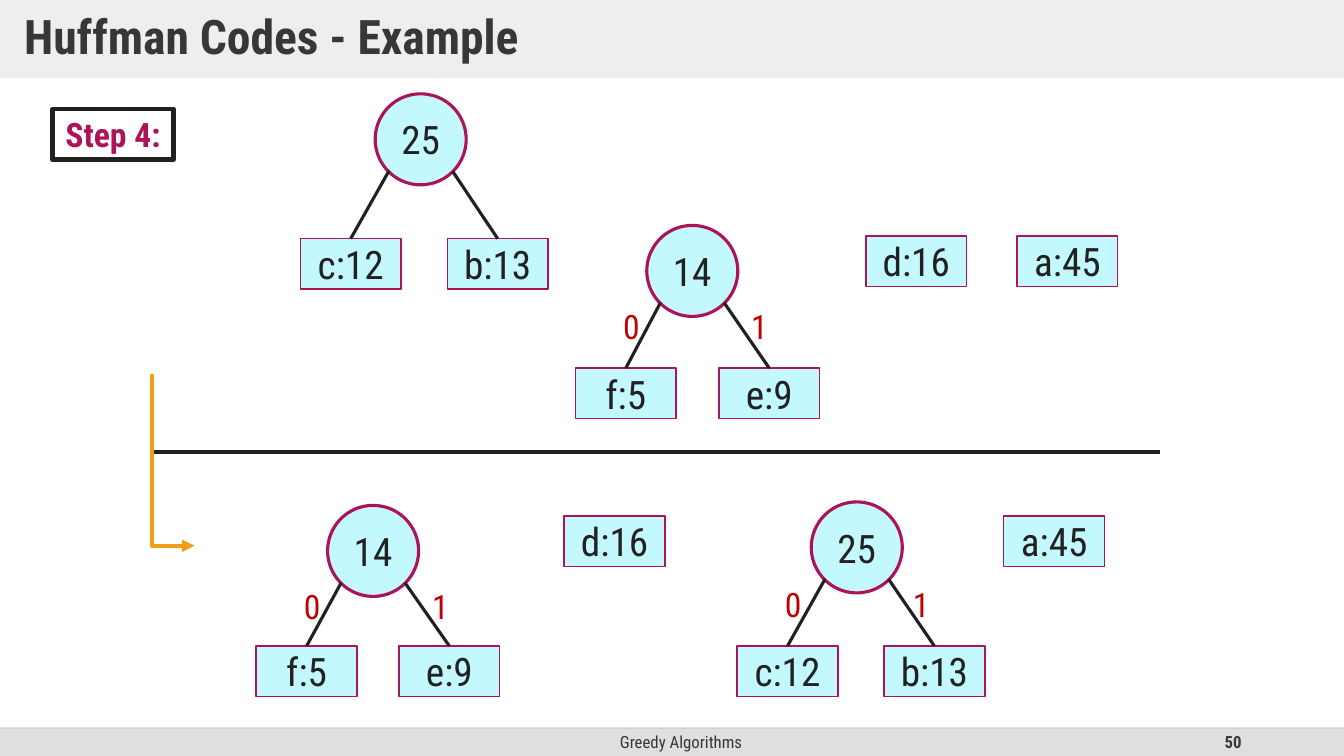
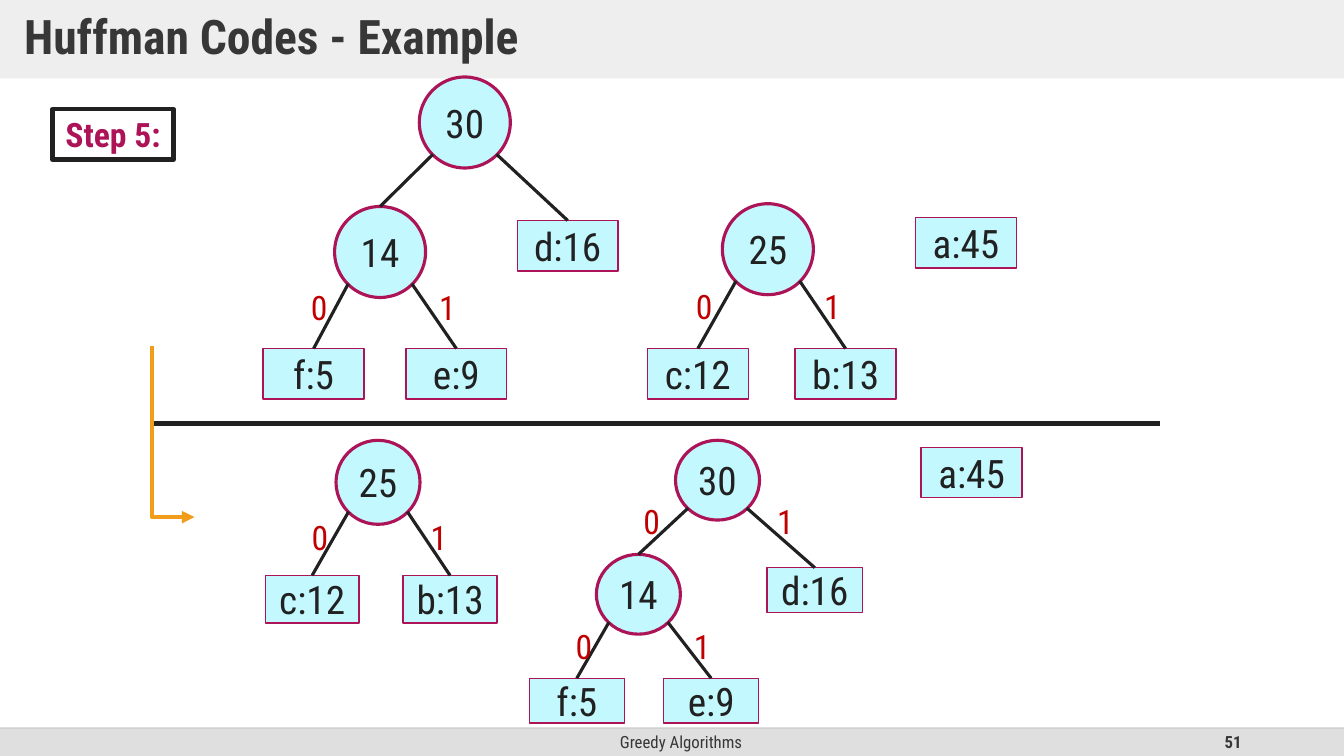
from lxml import etree
from pptx import Presentation
from pptx.dml.color import RGBColor
from pptx.enum import shapes, text
from pptx.oxml.ns import qn
from pptx.util import Pt

FONT = "Roboto Condensed"
HUE = {"band": "DFDFDF", "head": "373737", "rule": "BFBFBF", "ink": "212121",
       "plum": "AD1457", "cyan": "C3F8FF", "red": "C00000", "gold": "F19D19"}
HUE = {name: RGBColor.from_string(code) for name, code in HUE.items()}
LEFT, MID, RIGHT = text.PP_ALIGN.LEFT, text.PP_ALIGN.CENTER, text.PP_ALIGN.RIGHT
RECT, BALL = shapes.MSO_SHAPE.RECTANGLE, shapes.MSO_SHAPE.OVAL
LINE, BENT = shapes.MSO_CONNECTOR.STRAIGHT, shapes.MSO_CONNECTOR.ELBOW

KIDS = {"14": ("f:5", "e:9"), "25": ("c:12", "b:13"), "30": ("14", "d:16")}
FULL = (72, 36, 65, 65)
LOW = (67, 34, 60, 60)
FLAT = (68, 32, 60, 57)
BIT14 = {"14": (-24, 67.5, 54)}
BIT25 = {"25": (-26, 65.5, 55)}

PAGES = [
    (50, "Step 4:", 323, [
        (FULL, {}, {"25": (268, 67), "c:12": (214.5, 170.5), "b:13": (319.5, 170.5)}),
        (FULL, BIT14, {"14": (462, 161), "f:5": (411, 263), "e:9": (513.5, 263)}),
        (FULL, {}, {"d:16": (618.5, 168.5), "a:45": (726.5, 168.5)}),
        (FULL, BIT14, {"14": (234, 361), "f:5": (183, 461.5), "e:9": (285, 461.5)}),
        (FULL, {}, {"d:16": (403, 368.5), "a:45": (717, 368.5)}),
        (FULL, BIT25, {"25": (579.5, 358.5), "c:12": (526.5, 461.5), "b:13": (631.5, 461.5)}),
    ]),
    (51, "Step 5:", 302.5, [
        (FULL, BIT14, {"30": (299.5, 55), "14": (239, 147.5), "d:16": (369.5, 157.5),
                       "f:5": (188, 249), "e:9": (290, 249)}),
        (FULL, BIT25, {"25": (516, 145.5), "c:12": (462.5, 249), "b:13": (568, 249)}),
        (FULL, {}, {"a:45": (654, 155.5)}),
        (FULL, {}, {"a:45": (658, 319.5)}),
        (LOW, {"25": (-24.5, 60.5, 51)},
         {"25": (240, 314.5), "c:12": (189.5, 411), "b:13": (288, 411)}),
        (FLAT, {"14": (-22, 62.5, 47.5), "30": (-30, 65.5, 39.5)},
         {"30": (482.5, 314.5), "14": (426, 396), "d:16": (548, 405.5),
          "f:5": (378, 484.5), "e:9": (474, 484.5)}),
    ]),
]


def write(shape, words, size, hue, bold=False, align=MID):
    frame = shape.text_frame
    frame.word_wrap = True
    frame.vertical_anchor = text.MSO_ANCHOR.MIDDLE
    para = frame.paragraphs[0]
    para.alignment = align
    run = para.add_run()
    run.text = words
    run.font.name, run.font.size, run.font.bold = FONT, Pt(size), bold
    run.font.color.rgb = HUE[hue]
    return frame


def wire(kind, x1, y1, x2, y2, hue, width):
    link = slide.shapes.add_connector(kind, Pt(x1), Pt(y1), Pt(x2), Pt(y2))
    link.line.color.rgb = HUE[hue]
    link.line.width = Pt(width)
    etree.SubElement(link.element.spPr, qn("a:effectLst"))
    return link


prs = Presentation()
prs.slide_width, prs.slide_height = Pt(960), Pt(540)

for number, step, level, trees in PAGES:
    slide = prs.slides.add_slide(prs.slide_layouts[5])
    add = slide.shapes

    title = add.title
    title.left, title.top, title.width, title.height = Pt(0), Pt(0), Pt(960), Pt(56)
    title.fill.solid()
    title.fill.fore_color.rgb = HUE["band"]

    band = add.add_shape(RECT, Pt(0), Pt(520), Pt(960), Pt(20))
    band.shadow.inherit = False
    band.fill.solid()
    band.fill.fore_color.rgb = HUE["band"]
    band.line.fill.background()
    edge = wire(LINE, 0, 520, 960, 520, "rule", 1)
    for shape, share in ((title, 50), (edge, 70)):
        tint = next(shape.element.iter(qn("a:srgbClr")))
        etree.SubElement(tint, qn("a:alpha"), val=str(share * 1000))

    frame = write(title, "Huffman Codes - Example", 34, "head", True, LEFT)
    frame.paragraphs[0].line_spacing = 0.9
    frame.margin_left = frame.margin_right = Pt(17.28)
    frame.margin_top = frame.margin_bottom = Pt(8.64)

    foot = add.add_textbox(Pt(318), Pt(520), Pt(337), Pt(20))
    write(foot, "Greedy Algorithms", 12, "head")
    page = add.add_textbox(Pt(678), Pt(520), Pt(216), Pt(20))
    write(page, str(number), 12, "head", True, RIGHT)

    tag = add.add_shape(RECT, Pt(37.5), Pt(78), Pt(86.5), Pt(36))
    tag.shadow.inherit = False
    tag.fill.background()
    tag.line.color.rgb = HUE["ink"]
    tag.line.width = Pt(3)
    write(tag, step, 24, "plum", True)

    wire(LINE, 108.5, level, 828.5, level, "ink", 3)
    arrow = wire(BENT, 185, level - 9.5, 62.6, level + 20.7, "gold", 3)
    arrow.rotation = 270
    bend = next(arrow.element.iter(qn("a:avLst")))
    etree.SubElement(bend, qn("a:gd"), name="adj1", fmla="val 100100")
    etree.SubElement(arrow.element.spPr.find(qn("a:ln")), qn("a:tailEnd"), type="triangle")

    for (leafw, leafh, ballw, ballh), bits, spots in trees:
        nodes = {}
        for name, (x, y) in spots.items():
            leaf = ":" in name
            wide, high = (leafw, leafh) if leaf else (ballw, ballh)
            node = add.add_shape(RECT if leaf else BALL, Pt(x), Pt(y), Pt(wide), Pt(high))
            node.shadow.inherit = False
            node.fill.solid()
            node.fill.fore_color.rgb = HUE["cyan"]
            node.line.color.rgb = HUE["plum"]
            node.line.width = Pt(1 if leaf else 2.25)
            frame = write(node, name, 28, "ink")
            frame.margin_left = frame.margin_right = Pt(0)
            nodes[name] = node

        for name, (x, y) in spots.items():
            for side, kid in enumerate(KIDS.get(name, ())):
                startx = x + ballw * (0.85 if side else 0.15)
                link = wire(LINE, startx, y + ballh * 0.85, startx, y + ballh, "ink", 2.25)
                link.end_connect(nodes[kid], 0)
                if name in bits:
                    drop = bits[name][2]
                    bit = add.add_textbox(Pt(x + bits[name][side]), Pt(y + drop), Pt(29), Pt(36))
                    write(bit, str(side), 24, "red", align=LEFT)

prs.save("out.pptx")
